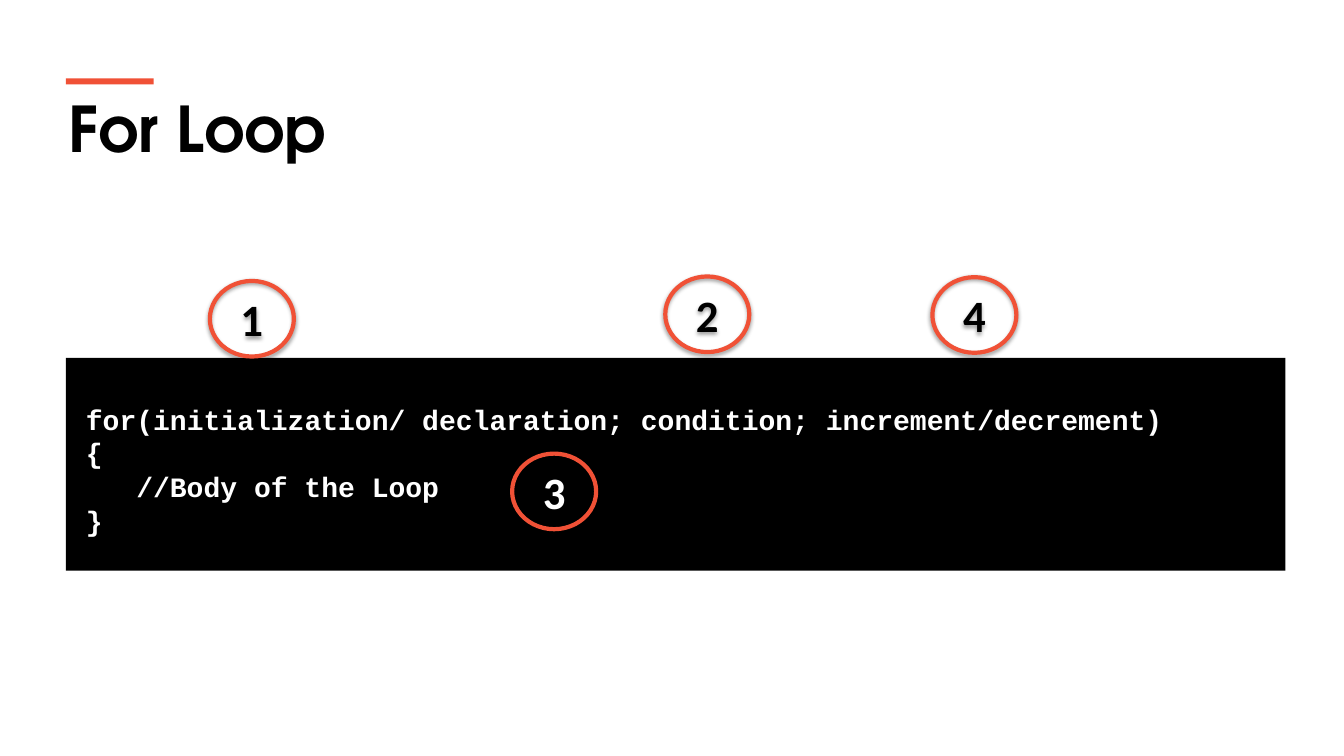
from lxml import etree
from pptx import Presentation
from pptx.dml.color import RGBColor
from pptx.enum.shapes import MSO_SHAPE
from pptx.enum.text import MSO_ANCHOR, MSO_AUTO_SIZE, PP_ALIGN
from pptx.oxml.ns import qn
from pptx.util import Pt

RECTANGLE, OVAL = MSO_SHAPE.RECTANGLE, MSO_SHAPE.OVAL
LEFT, CENTER = PP_ALIGN.LEFT, PP_ALIGN.CENTER
TOP, MIDDLE = MSO_ANCHOR.TOP, MSO_ANCHOR.MIDDLE
GROW = MSO_AUTO_SIZE.SHAPE_TO_FIT_TEXT
ORANGE, BLACK, WHITE = "F05136", "000000", "FFFFFF"


def color(hex_value):
    return RGBColor.from_string(hex_value)


def write(frame, text, *, font, size, ink, align=LEFT, anchor=TOP):
    frame.word_wrap = True
    frame.vertical_anchor = anchor
    for index, line in enumerate(text.split("\n")):
        paragraph = frame.add_paragraph() if index else frame.paragraphs[0]
        paragraph.alignment = align
        run = paragraph.add_run()
        run.text = line
        run.font.name = font
        run.font.size = Pt(size)
        run.font.bold = True
        run.font.color.rgb = color(ink)


deck = Presentation()
deck.slide_width, deck.slide_height = Pt(960), Pt(540)
slide = deck.slides.add_slide(deck.slide_layouts[5])
shapes = slide.shapes

# Title
title = shapes.title
title.left, title.top, title.width, title.height = Pt(41.8), Pt(60.5), Pt(877), Pt(62)
write(title.text_frame, "For Loop", font="TeX Gyre Adventor", size=45, ink=BLACK)
title.text_frame.auto_size = GROW

# Accent bar and code panel
accent = shapes.add_shape(RECTANGLE, Pt(47), Pt(56), Pt(62.8), Pt(4.3))
code = shapes.add_shape(RECTANGLE, Pt(47), Pt(255.6), Pt(871.2), Pt(152))
for block, fill in ((accent, ORANGE), (code, BLACK)):
    block.shadow.inherit = False
    block.fill.solid()
    block.fill.fore_color.rgb = color(fill)
    block.line.fill.background()

syntax = """for(initialization/ declaration; condition; increment/decrement)
{
\t//Body of the Loop
}"""
code_frame = code.text_frame
code_frame.margin_left, code_frame.margin_top = Pt(14.4), Pt(31.7)
code_frame.margin_right, code_frame.margin_bottom = Pt(7.2), Pt(72)
write(code_frame, syntax, font="Courier New", size=20, ink=WHITE)

# Numbered steps: number, left, top, text colour
steps = [
    ("1", 149.9, 200.7, BLACK),
    ("2", 475.2, 197.5, BLACK),
    ("3", 365.8, 324, WHITE),
    ("4", 666, 198, BLACK),
]
for number, left, top, ink in steps:
    step = shapes.add_shape(OVAL, Pt(left), Pt(top), Pt(60), Pt(54))
    step.fill.background()
    step.line.color.rgb = color(ORANGE)
    step.line.width = Pt(3)
    write(step.text_frame, number, font="Calibri", size=32, ink=ink,
          align=CENTER, anchor=MIDDLE)

    # Soft shadow falling straight down
    step.shadow.inherit = False
    effects = step.element.spPr.find(qn("a:effectLst"))
    shadow = etree.SubElement(effects, qn("a:outerShdw"), blurRad=str(Pt(3.1)),
                              dist=str(Pt(1.6)), dir="5400000", rotWithShape="0")
    tint = etree.SubElement(shadow, qn("a:srgbClr"), val=BLACK)
    etree.SubElement(tint, qn("a:alpha"), val="38000")

deck.save("out.pptx")
